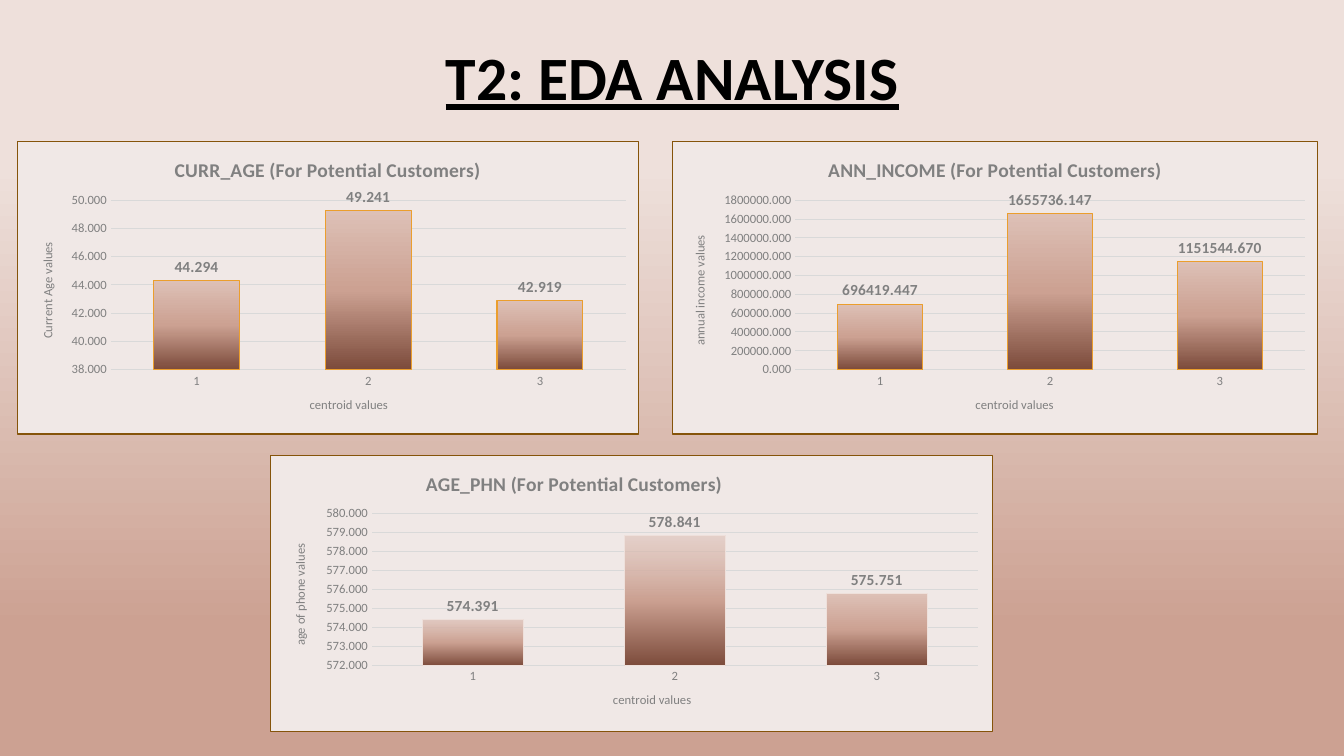
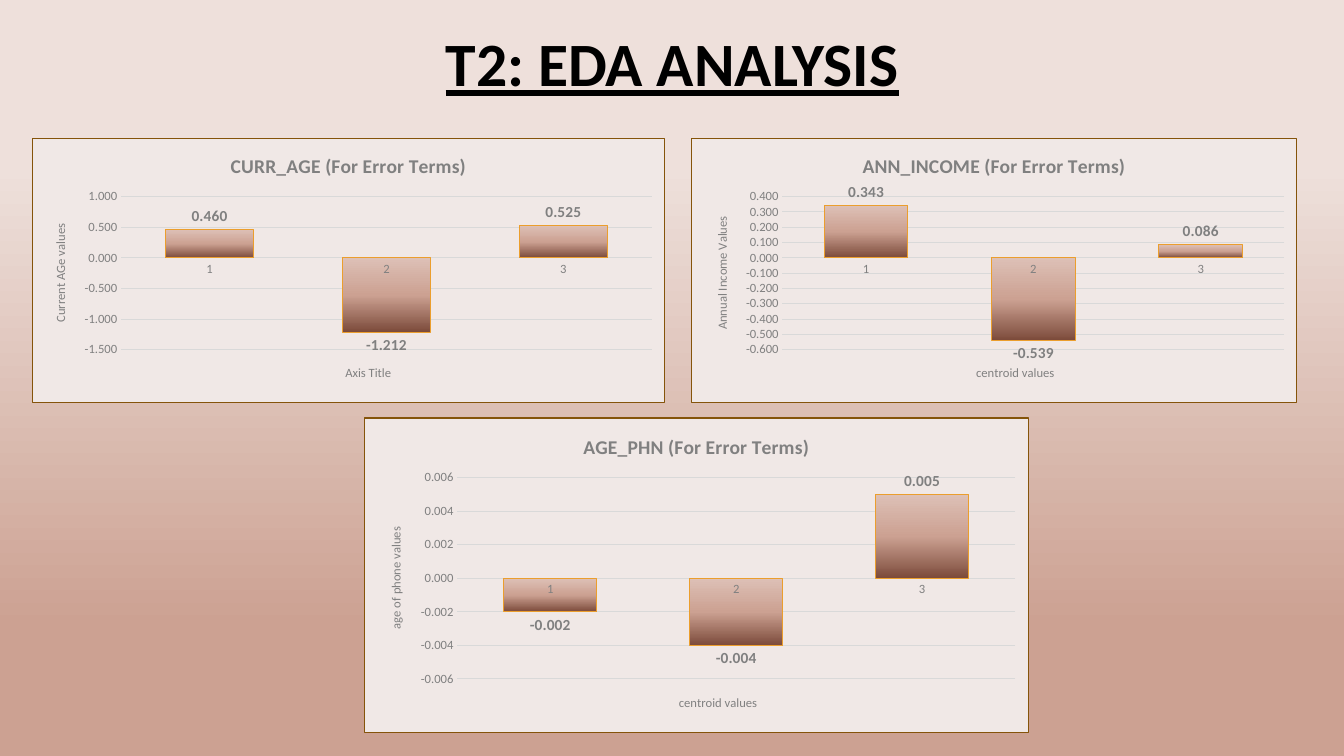
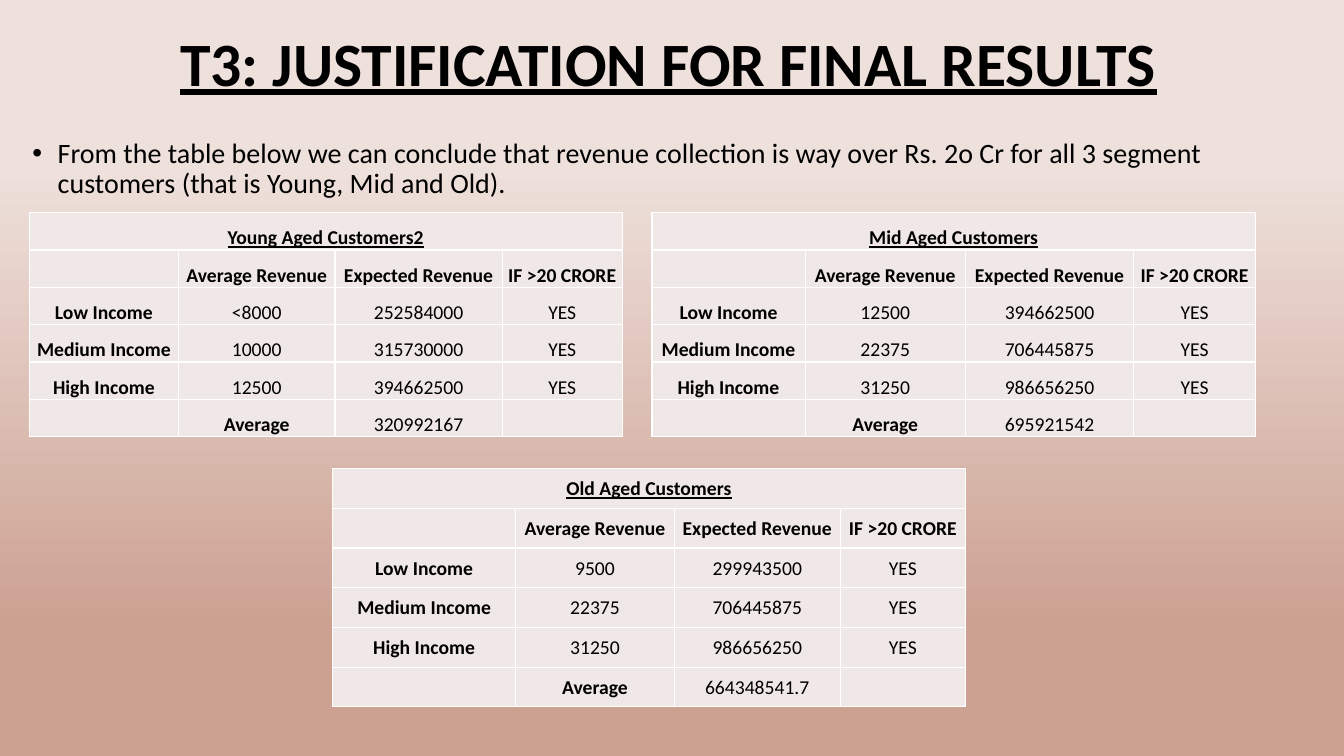
from pptx import Presentation
from pptx.chart.data import CategoryChartData
from pptx.dml.color import RGBColor
from pptx.enum.chart import XL_CHART_TYPE, XL_LABEL_POSITION, XL_TICK_MARK
from pptx.enum.text import MSO_ANCHOR, MSO_AUTO_SIZE, PP_ALIGN
from pptx.oxml import parse_xml
from pptx.oxml.ns import nsdecls, qn
from pptx.util import Cm, Pt

COLORS = {
    "ink": "000000",
    "muted": "808080",
    "grid": "D9D9D9",
    "panel": "F0E8E6",
    "frame": "85540A",
    "bar_line": "EB9E2D",
    "pale": "EEE0DB",
    "light": "DDC0B6",
    "clay": "CCA192",
    "brown": "7C4B3B",
    "white": "FFFFFF",
}
FONT = "Calibri"
FORMAT = "0.000"
TITLE_ONLY, TITLE_AND_CONTENT = 5, 1


def rgb(name):
    return RGBColor.from_string(COLORS[name])


def set_font(font, size, color="ink", bold=False, underline=False):
    font.name = FONT
    font.size = Pt(size)
    font.color.rgb = rgb(color)
    font.bold = bold
    font.underline = underline


def set_line(line, color, width=0.75):
    line.color.rgb = rgb(color)
    line.width = Pt(width)


def set_gradient(fill, root, query, stops):
    fill.gradient()
    fill.gradient_angle = 270
    gs_lst = root.xpath(query)[0].find(qn("a:gsLst"))
    for gs in list(gs_lst):
        gs_lst.remove(gs)
    for pos, color, alpha in stops:
        gs_lst.append(parse_xml(
            f'<a:gs {nsdecls("a")} pos="{pos * 1000}"><a:srgbClr val="{COLORS[color]}">'
            f'<a:alpha val="{alpha * 1000}"/></a:srgbClr></a:gs>'))


def bar_stops(alpha=100):
    return [(0, "light", alpha), (50, "clay", 100), (100, "brown", 100)]


def set_layout(anchor, target="", **values):
    parent = anchor.getparent()
    for old in parent.findall(qn("c:layout")):
        parent.remove(old)
    inner = f'<c:layoutTarget val="{target}"/>' if target else ""
    modes = "".join(f'<c:{key}Mode val="edge"/>' for key in "xy")
    sizes = "".join(f'<c:{key} val="{value}"/>' for key, value in values.items())
    anchor.addprevious(parse_xml(
        f'<c:layout {nsdecls("c")}><c:manualLayout>{inner}{modes}{sizes}'
        '</c:manualLayout></c:layout>'))


class Deck:
    def __init__(self):
        self.prs = Presentation()
        self.prs.slide_width, self.prs.slide_height = Cm(33.87), Cm(19.05)
        master = self.prs.slide_master
        set_gradient(master.background.fill, master.element, ".//p:bg//a:gradFill",
                     [(22, "pale", 100), (83, "clay", 100), (100, "clay", 100)])
        self.s = None

    def placeholder(self, sp, text, box, size, **style):
        sp.left, sp.top, sp.width, sp.height = map(Cm, box)
        tf = sp.text_frame
        tf.text = text
        tf.auto_size = MSO_AUTO_SIZE.NONE
        p = tf.paragraphs[0]
        p.line_spacing = 0.9
        set_font(p.runs[0].font, size, **style)
        return tf

    def slide(self, title, box, layout=TITLE_ONLY):
        self.s = self.prs.slides.add_slide(self.prs.slide_layouts[layout])
        tf = self.placeholder(self.s.shapes.title, title, box, 44, bold=True, underline=True)
        tf.vertical_anchor = MSO_ANCHOR.MIDDLE
        tf.paragraphs[0].alignment = PP_ALIGN.CENTER

    def bullet(self, text, box):
        p = self.placeholder(self.s.placeholders[1], text, box, 20).paragraphs[0]
        p.space_before = Pt(10)
        pPr = p._p.get_or_add_pPr()
        pPr.set("marL", str(Cm(0.64)))
        pPr.set("indent", str(-Cm(0.64)))

    def axis(self, axis, title):
        axis.has_title = True
        tf = axis.axis_title.text_frame
        tf.text = title
        set_font(tf.paragraphs[0].runs[0].font, 9, "muted")
        axis.major_tick_mark = axis.minor_tick_mark = XL_TICK_MARK.NONE
        set_font(axis.tick_labels.font, 9, "muted")

    def chart(self, title, box, plot_box, values, scale, y_title,
              x_title="centroid values", title_at=None, alphas=()):
        data = CategoryChartData(number_format=FORMAT)
        data.categories = ["1", "2", "3"]
        data.add_series("Series 1", values)
        chart = self.s.shapes.add_chart(
            XL_CHART_TYPE.COLUMN_CLUSTERED, *map(Cm, box), data).chart
        root = chart.element
        chart.has_legend = False
        set_font(chart.font, 10)
        root.find(qn("c:chart")).addnext(parse_xml(
            f'<c:spPr {nsdecls("c", "a")}>'
            f'<a:solidFill><a:srgbClr val="{COLORS["panel"]}"/></a:solidFill>'
            f'<a:ln w="{Pt(0.75)}"><a:solidFill><a:srgbClr val="{COLORS["frame"]}"/>'
            '</a:solidFill></a:ln></c:spPr>'))

        chart.has_title = True
        tf = chart.chart_title.text_frame
        tf.text = title
        set_font(tf.paragraphs[0].runs[0].font, 14, "muted", bold=True)
        if title_at:
            set_layout(root.xpath("c:chart/c:title/c:overlay")[0], **dict(zip("xy", title_at)))
        set_layout(root.xpath(".//c:barChart")[0], "inner", **dict(zip("xywh", plot_box)))

        self.axis(chart.category_axis, x_title)
        set_line(chart.category_axis.format.line, "grid")
        y_axis = chart.value_axis
        self.axis(y_axis, y_title)
        y_axis.minimum_scale, y_axis.maximum_scale, y_axis.major_unit = scale
        y_axis.format.line.fill.background()
        y_axis.has_major_gridlines = True
        set_line(y_axis.major_gridlines.format.line, "grid")
        y_axis.tick_labels.number_format = FORMAT
        y_axis.tick_labels.number_format_is_linked = False

        plot = chart.plots[0]
        plot.gap_width, plot.overlap = 100, -24
        plot.vary_by_categories = False
        series = plot.series[0]
        series.invert_if_negative = False
        line_color = "pale" if alphas else "bar_line"
        set_gradient(series.format.fill, root, ".//c:ser/c:spPr/a:gradFill", bar_stops())
        set_line(series.format.line, line_color)
        for i, alpha in enumerate(alphas):
            fmt = series.points[i].format
            set_gradient(fmt.fill, root, f".//c:dPt[{i + 1}]/c:spPr/a:gradFill", bar_stops(alpha))
            set_line(fmt.line, line_color)
        labels = series.data_labels
        labels.show_value = True
        labels.position = XL_LABEL_POSITION.OUTSIDE_END
        labels.number_format = FORMAT
        labels.number_format_is_linked = False
        set_font(labels.font, 11, "muted", bold=True)

    def cell(self, cell, text, anchor, bold, underline):
        cell.fill.solid()
        cell.fill.fore_color.rgb = rgb("panel")
        cell.margin_left = cell.margin_right = cell.margin_top = Cm(0.03)
        cell.margin_bottom = 0
        cell.vertical_anchor = anchor
        tcPr = cell._tc.get_or_add_tcPr()
        for i, side in enumerate("LRTB"):
            tcPr.insert(i, parse_xml(
                f'<a:ln{side} {nsdecls("a")} w="{Pt(1)}"><a:solidFill>'
                f'<a:srgbClr val="{COLORS["white"]}"/></a:solidFill></a:ln{side}>'))
        if text:
            p = cell.text_frame.paragraphs[0]
            p.text = text
            p.alignment = PP_ALIGN.CENTER
            set_font(p.runs[0].font, 14, bold=bold, underline=underline)

    def table(self, title, left, top, widths, row_height, revenues, average,
              anchor=MSO_ANCHOR.BOTTOM):
        incomes = ["Low Income", "Medium Income", "High Income"]
        rows = [
            [title, "", "", ""],
            ["", "Average Revenue", "Expected Revenue", "IF >20 CRORE"],
            *[[income, *pair, "YES"] for income, pair in zip(incomes, revenues)],
            ["", "Average", average, ""],
        ]
        frame = self.s.shapes.add_table(len(rows), len(widths), Cm(left), Cm(top),
                                        Cm(sum(widths)), Cm(row_height * len(rows)))
        tbl = frame.table
        tbl.first_row = tbl.horz_banding = False
        for column, width in zip(tbl.columns, widths):
            column.width = Cm(width)
        for r, texts in enumerate(rows):
            tbl.rows[r].height = Cm(row_height)
            for c, text in enumerate(texts):
                bold = r < 2 or c == 0 or text == "Average"
                self.cell(tbl.cell(r, c), text, anchor, bold, r == 0)
        tbl.cell(0, 0).merge(tbl.cell(0, len(widths) - 1))


def main():
    deck = Deck()

    deck.slide("T2: EDA ANALYSIS", (2.34, 0.81, 29.21, 2.44))
    deck.chart("CURR_AGE (For Potential Customers)", (0.43, 3.56, 15.67, 7.39),
               (0.15, 0.2, 0.83, 0.58), (44.294, 49.241, 42.919), (38, 50, 2),
               "Current Age values")
    deck.chart("ANN_INCOME (For Potential Customers)", (16.94, 3.56, 16.28, 7.39),
               (0.19, 0.2, 0.79, 0.58), (696419.447, 1655736.147, 1151544.67),
               (0, 1800000, 200000), "annual income values")
    deck.chart("AGE_PHN (For Potential Customers)", (6.81, 11.46, 18.21, 6.99),
               (0.14, 0.21, 0.84, 0.55), (574.391, 578.841, 575.751), (572, 580, 1),
               "age of phone values", title_at=(0.21, 0.04), alphas=(75, 57, 100))

    deck.slide("T2: EDA ANALYSIS", (2.34, 0.58, 29.21, 2.21))
    deck.chart("CURR_AGE (For Error Terms)", (0.81, 3.48, 15.95, 6.68),
               (0.14, 0.22, 0.84, 0.58), (0.46, -1.212, 0.525), (-1.5, 1, 0.5),
               "Current AGe values", x_title="Axis Title")
    deck.chart("ANN_INCOME (For Error Terms)", (17.42, 3.48, 15.27, 6.68),
               (0.15, 0.22, 0.83, 0.58), (0.343, -0.539, 0.086), (-0.6, 0.4, 0.1),
               "Annual Income Values")
    deck.chart("AGE_PHN (For Error Terms)", (9.17, 10.52, 16.76, 7.95),
               (0.14, 0.19, 0.84, 0.64), (-0.002, -0.004, 0.005), (-0.006, 0.006, 0.002),
               "age of phone values")

    deck.slide("T3: JUSTIFICATION FOR FINAL RESULTS", (0.56, 0.56, 32.59, 2.21),
               TITLE_AND_CONTENT)
    deck.bullet("From the table below we can conclude that revenue collection is way over "
                "Rs. 2o Cr for all 3 segment customers (that is Young, Mid and Old).",
                (0.56, 3.38, 32.59, 15.34))
    deck.table("Young Aged Customers2", 0.74, 5.36, (3.76, 3.94, 4.22, 3.02), 0.94,
               [("<8000", "252584000"), ("10000", "315730000"), ("12500", "394662500")],
               "320992167")
    deck.table("Mid Aged Customers", 16.43, 5.36, (3.86, 4.04, 4.24, 3.07), 0.94,
               [("12500", "394662500"), ("22375", "706445875"), ("31250", "986656250")],
               "695921542")
    deck.table("Old Aged Customers", 8.38, 11.81, (4.62, 3.99, 4.19, 3.15), 1,
               [("9500", "299943500"), ("22375", "706445875"), ("31250", "986656250")],
               "664348541.7", MSO_ANCHOR.MIDDLE)

    deck.prs.save("out.pptx")


if __name__ == "__main__":
    main()
